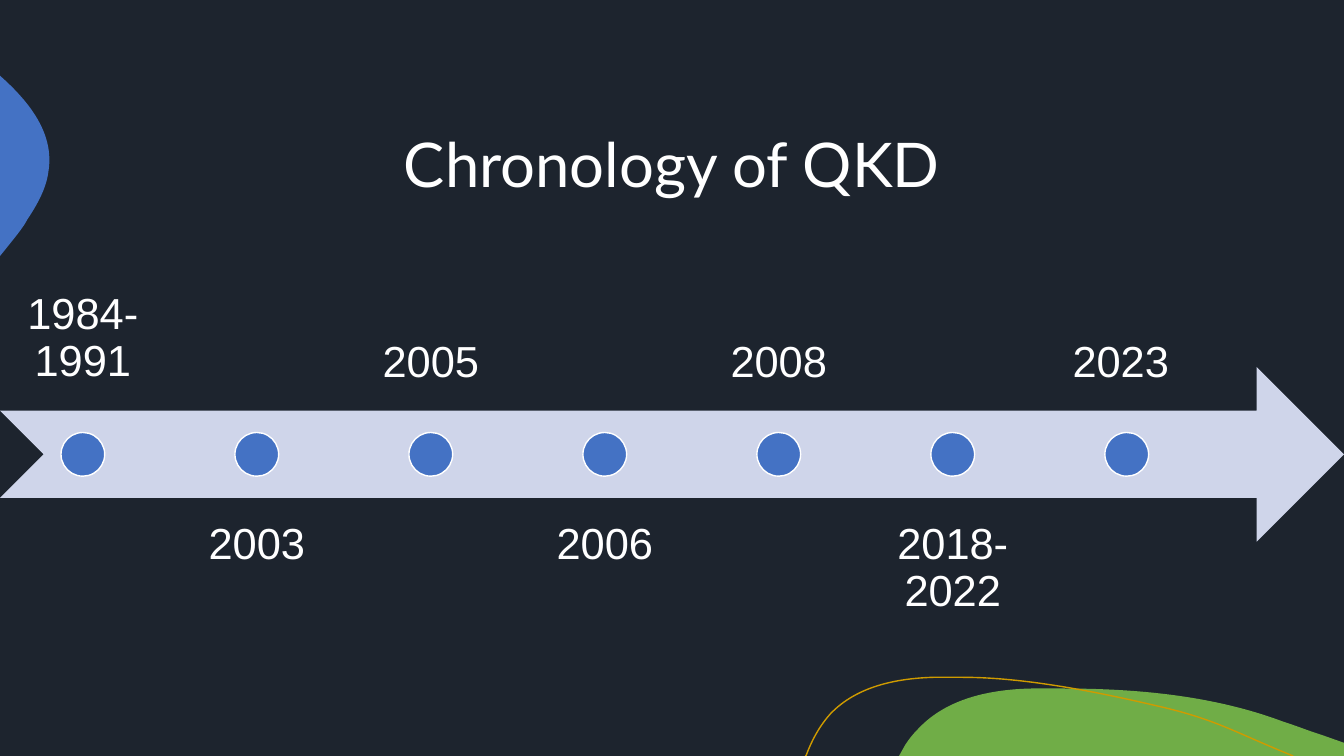
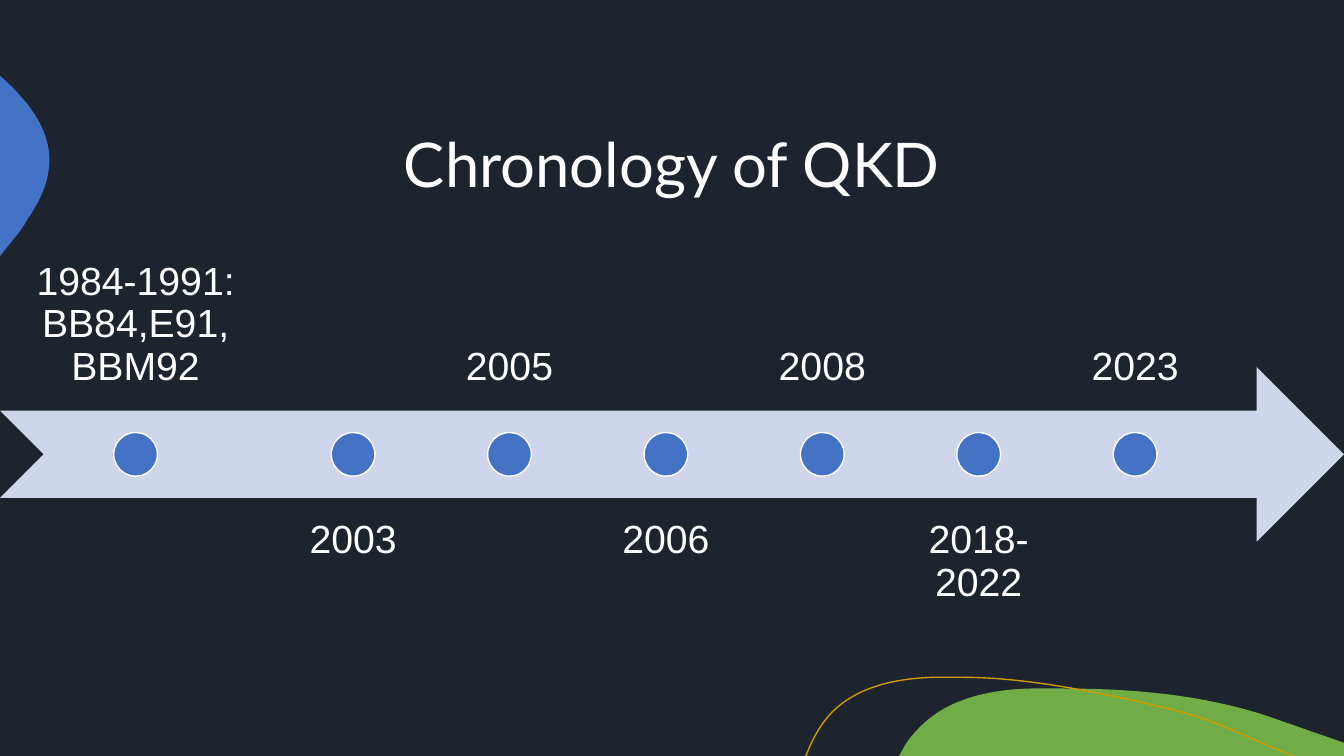
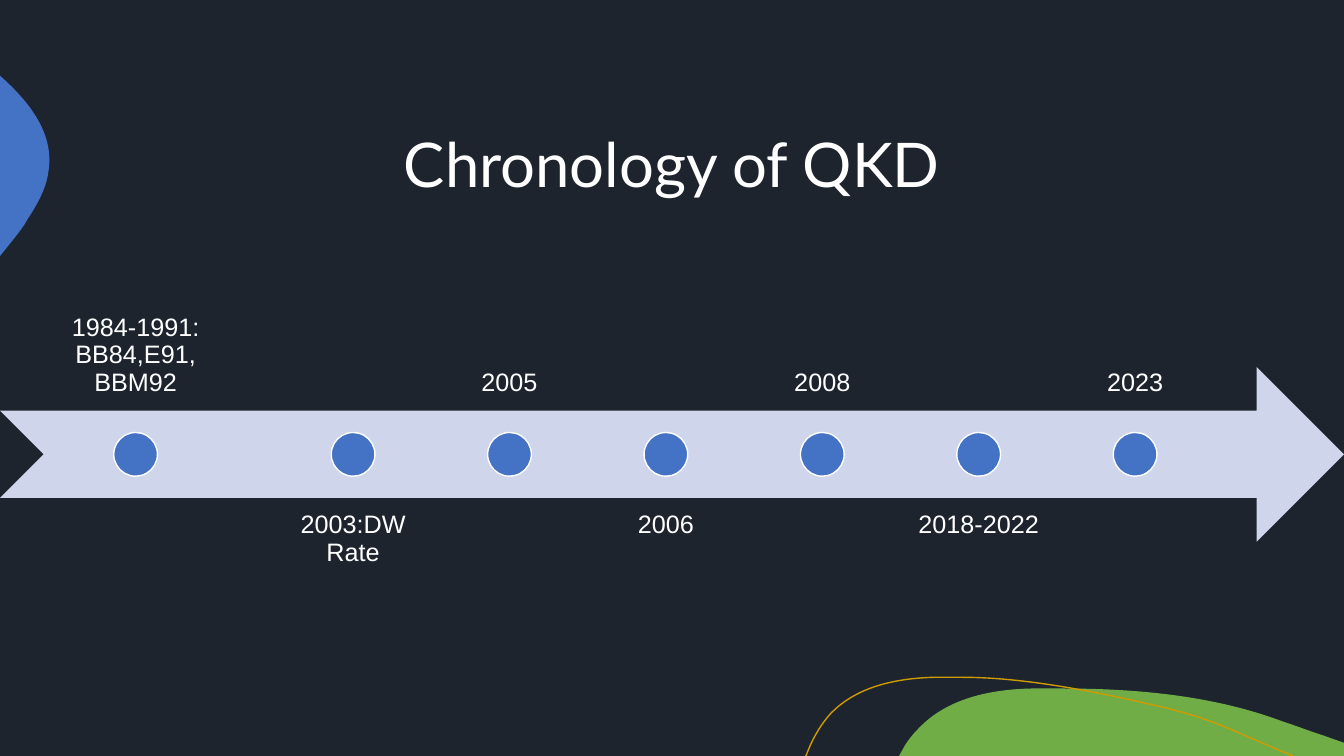
from lxml import etree
from pptx import Presentation
from pptx.dml.color import RGBColor
from pptx.enum.shapes import MSO_SHAPE
from pptx.enum.text import MSO_ANCHOR, PP_ALIGN
from pptx.oxml.ns import qn
from pptx.util import Pt

ARROW = MSO_SHAPE.NOTCHED_RIGHT_ARROW
ELLIPSE = MSO_SHAPE.OVAL
CENTER = PP_ALIGN.CENTER
TOP, MIDDLE, BOTTOM = MSO_ANCHOR.TOP, MSO_ANCHOR.MIDDLE, MSO_ANCHOR.BOTTOM

NIGHT, WHITE, BLUE = "1D242E", "FFFFFF", "4472C4"
GREEN, GOLD, PALE = "70AD47", "CF9B00", "CFD5EA"

SLIDE_WIDTH, SLIDE_HEIGHT = 960, 540
TITLE_ONLY = 5
TITLE = "Chronology of QKD"

BAND_HEIGHT = 124.85
LABEL_TOP = 168.46
ARROW_TOP = LABEL_TOP + 0.75 * BAND_HEIGHT
LOWER_TOP = LABEL_TOP + 1.5 * BAND_HEIGHT
DOT_SIZE = BAND_HEIGHT / 4
TIMELINE_WIDTH = 0.9 * SLIDE_WIDTH
GAP_RATIO = 0.05
INSET_RATIO = 0.56

HILL = [
    (758.9, 491.8),
    (812.2, 491.8, 866.9, 496.8, 916.6, 515.5),
    (925.9, 518.4, 934.6, 522, 943.9, 524.9),
    (960, 530.6), (960, 540), (642.2, 540), (646.6, 532.1),
    (649.4, 527.8, 652.3, 524.2, 655.9, 520.6),
    (676.1, 499, 707, 492.5, 736.6, 491.8),
    (743.8, 491.8, 751, 491.8, 758.9, 491.8),
]
DROP = [
    (0, 54), (0.7, 54.7),
    (21.6, 73.4, 38.9, 95.8, 34.6, 122.4),
    (33.1, 134.6, 26.6, 146.2, 19.4, 157),
    (17.3, 161.3, 12.2, 167.8, 5.8, 175.7),
    (0, 182.9),
]
SWEEP = [
    (575.3, 540), (576, 539.3),
    (580.3, 527.8, 586.1, 517.7, 593.3, 509.8),
    (612, 490.3, 640.1, 484.6, 666.7, 483.8),
    (687.6, 483.8),
    (735.8, 483.8, 792, 496.1, 831.6, 505.4),
    (870.5, 514.8, 882.7, 523.4, 923.8, 540),
]

FIRST_PROTOCOLS = "1984-1991: BB84,E91,\vBBM92"
TIMELINES = [
    (31, 118.36, ["1984-1991", "2003", "2005", "2006", "2008", "2018-2022", "2023 "]),
    (28, 106.4, [FIRST_PROTOCOLS, "2003", "2005", "2006", "2008", "2018-2022", "2023"]),
    (18, 106.4, [FIRST_PROTOCOLS, "2003:DW Rate", "2005", "2006", "2008", "2018-2022", "2023"]),
]


def color(value):
    """Turn a hex string into a colour."""
    return RGBColor.from_string(value)


def paint(shape, fill=None, line=None):
    """Set fill and outline, and remove the shadow."""
    shape.shadow.inherit = False
    if fill:
        shape.fill.solid()
        shape.fill.fore_color.rgb = color(fill)
    else:
        shape.fill.background()
    if line:
        shape.line.color.rgb = color(line)
        shape.line.width = Pt(1)
    else:
        shape.line.fill.background()


def bend_sides(shape, segments):
    """Turn the sides that have control points into cubic curves."""
    sides = list(shape.element.iter(qn("a:lnTo")))
    for side, segment in zip(sides, segments[1:]):
        if len(segment) == 2:
            continue
        side.tag = qn("a:cubicBezTo")
        for index, (x, y) in enumerate((segment[:2], segment[2:4])):
            control = etree.Element(qn("a:pt"))
            control.set("x", str(Pt(x) - shape.left))
            control.set("y", str(Pt(y) - shape.top))
            side.insert(index, control)


def add_outline(page, segments, fill=None, line=None):
    """Draw straight and curved segments as one freeform."""
    corners = [(Pt(segment[-2]), Pt(segment[-1])) for segment in segments]
    builder = page.shapes.build_freeform(*corners[0])
    builder.add_line_segments(corners[1:], close=bool(fill))
    shape = builder.convert_to_shape()
    bend_sides(shape, segments)
    paint(shape, fill, line)
    return shape


def decorate_layout(layout, page):
    """Give the layout its background and corner ornaments."""
    layout.background.fill.solid()
    layout.background.fill.fore_color.rgb = color(NIGHT)
    ornaments = [
        add_outline(page, HILL, fill=GREEN),
        add_outline(page, DROP, fill=BLUE),
        add_outline(page, SWEEP, line=GOLD),
    ]
    for ornament in ornaments:
        layout.shapes.element.append(ornament.element)


def style_text(box, text, size, font, anchor):
    """Write one centred white paragraph into a box."""
    frame = box.text_frame
    frame.word_wrap = True
    frame.vertical_anchor = anchor
    frame.text = text
    para = frame.paragraphs[0]
    para.alignment = CENTER
    para.line_spacing = 0.9
    for span in para.runs:
        span.font.size = Pt(size)
        span.font.name = font
        span.font.color.rgb = color(WHITE)


def add_title(page):
    """Place and format the title."""
    title = page.shapes.title
    title.left, title.top, title.width, title.height = Pt(60), Pt(60), Pt(840), Pt(120)
    style_text(title, TITLE, 44, "Lato", MIDDLE)


def add_label(page, text, left, top, width, size, anchor):
    """Add the label of one milestone."""
    box = page.shapes.add_textbox(Pt(left), Pt(top), Pt(width), Pt(BAND_HEIGHT))
    frame = box.text_frame
    inset = Pt(INSET_RATIO * size)
    frame.margin_left = frame.margin_right = inset
    frame.margin_top = frame.margin_bottom = inset
    style_text(box, text, size, "Arial", anchor)


def add_dot(page, center):
    """Add a milestone dot on the arrow."""
    top = ARROW_TOP + (BAND_HEIGHT - DOT_SIZE) / 2
    dot = page.shapes.add_shape(
        ELLIPSE, Pt(center - DOT_SIZE / 2), Pt(top), Pt(DOT_SIZE), Pt(DOT_SIZE))
    paint(dot, BLUE, WHITE)


def add_timeline(page, size, label_width, labels):
    """Add the arrow with labels alternating above and below."""
    arrow = page.shapes.add_shape(
        ARROW, Pt(0), Pt(ARROW_TOP), Pt(SLIDE_WIDTH), Pt(BAND_HEIGHT))
    paint(arrow, PALE)
    gap = GAP_RATIO * label_width
    first_width = TIMELINE_WIDTH - (len(labels) - 1) * (label_width + gap)
    left = 0
    for index, text in enumerate(labels):
        width = label_width if index else first_width
        top, anchor = (LOWER_TOP, TOP) if index % 2 else (LABEL_TOP, BOTTOM)
        add_label(page, text, left, top, width, size, anchor)
        add_dot(page, left + width / 2)
        left += width + gap


def main():
    """Build and save the deck."""
    deck = Presentation()
    deck.slide_width, deck.slide_height = Pt(SLIDE_WIDTH), Pt(SLIDE_HEIGHT)
    layout = deck.slide_layouts[TITLE_ONLY]
    pages = [deck.slides.add_slide(layout) for _ in TIMELINES]
    decorate_layout(layout, pages[0])
    for page, timeline in zip(pages, TIMELINES):
        add_title(page)
        add_timeline(page, *timeline)
    deck.save("out.pptx")


if __name__ == "__main__":
    main()
